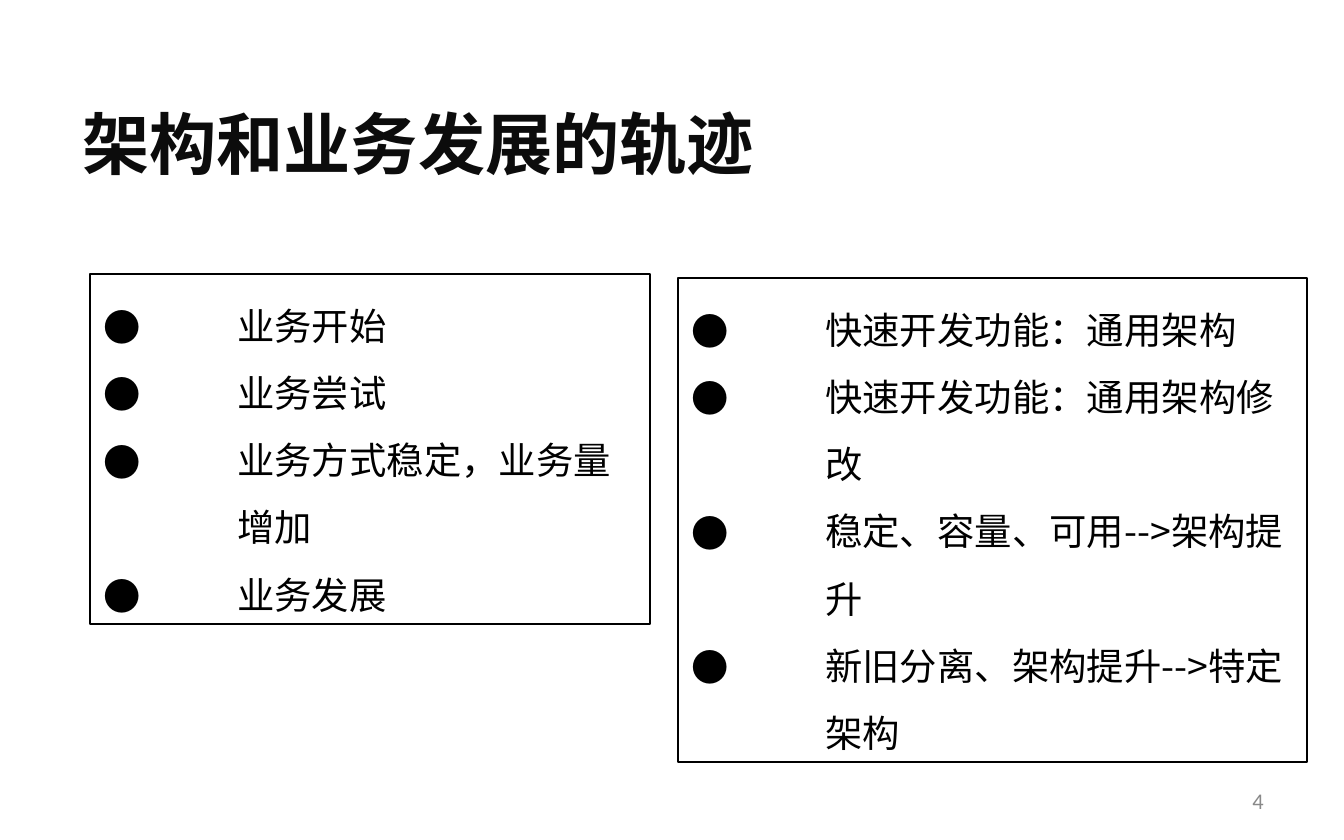
from lxml.etree import SubElement
from pptx import Presentation
from pptx.dml.color import RGBColor
from pptx.enum.shapes import MSO_SHAPE
from pptx.enum.text import MSO_ANCHOR, MSO_AUTO_SIZE, PP_ALIGN
from pptx.oxml.ns import qn
from pptx.util import Emu, Pt

PIXELS_PER_INCH = 134.4
COLORS = {"title": "0C0C0C", "text": "000000", "line": "000000", "number": "898989"}
CHINESE_FONT = "Noto Sans CJK SC"
NUMBER_FONT = "Calibri"
HANGING_INDENT = 134

BUSINESS_STAGES = ["业务开始", "业务尝试", "业务方式稳定，业务量增加", "业务发展"]
ARCHITECTURE_STAGES = [
    "快速开发功能：通用架构",
    "快速开发功能：通用架构修改",
    "稳定、容量、可用-->架构提升",
    "新旧分离、架构提升-->特定架构",
]


def px(length):
    return Emu(round(length * 914400 / PIXELS_PER_INCH))


def format_runs(paragraph, font_name, size, color, bold=False):
    for run in paragraph.runs:
        run.font.name = font_name
        run.font.size = Pt(size)
        run.font.bold = bold
        run.font.color.rgb = RGBColor.from_string(COLORS[color])
        SubElement(run.font._element, qn("a:ea"), typeface=font_name)


def add_bullet(paragraph):
    properties = paragraph._p.get_or_add_pPr()
    properties.set("marL", str(px(HANGING_INDENT)))
    properties.set("indent", str(-px(HANGING_INDENT)))
    bullet_color = SubElement(properties, qn("a:buClr"))
    SubElement(bullet_color, qn("a:srgbClr"), val=COLORS["text"])
    SubElement(properties, qn("a:buFont"), typeface=CHINESE_FONT)
    SubElement(properties, qn("a:buChar"), char="●")


def add_label(slide, box, text, font_name, size, color, bold=False, align=PP_ALIGN.LEFT):
    shape = slide.shapes.add_textbox(*map(px, box))
    text_frame = shape.text_frame
    text_frame.word_wrap = True
    text_frame.vertical_anchor = MSO_ANCHOR.MIDDLE
    text_frame.text = text
    paragraph = text_frame.paragraphs[0]
    paragraph.alignment = align
    format_runs(paragraph, font_name, size, color, bold)


def add_bullet_panel(slide, box, items):
    shape = slide.shapes.add_shape(MSO_SHAPE.RECTANGLE, *map(px, box))
    shape.shadow.inherit = False
    shape.fill.background()
    shape.line.color.rgb = RGBColor.from_string(COLORS["line"])
    shape.line.width = Pt(0.75)
    text_frame = shape.text_frame
    text_frame.word_wrap = True
    text_frame.auto_size = MSO_AUTO_SIZE.SHAPE_TO_FIT_TEXT
    text_frame.vertical_anchor = MSO_ANCHOR.TOP
    text_frame.text = "\n".join(items)
    for paragraph in text_frame.paragraphs:
        add_bullet(paragraph)
        paragraph.alignment = PP_ALIGN.LEFT
        paragraph.line_spacing = 1.5
        format_runs(paragraph, CHINESE_FONT, 20, "text")


def main():
    presentation = Presentation()
    presentation.slide_width = px(1344)
    presentation.slide_height = px(840)
    slide = presentation.slides.add_slide(presentation.slide_layouts[6])
    add_label(slide, (69, 102, 1210, 82), "架构和业务发展的轨迹", CHINESE_FONT, 36, "title", bold=True)
    add_bullet_panel(slide, (90, 274, 560, 350), BUSINESS_STAGES)
    add_bullet_panel(slide, (678, 278, 629, 484), ARCHITECTURE_STAGES)
    add_label(slide, (964, 778, 313, 45), "4", NUMBER_FONT, 12, "number", align=PP_ALIGN.RIGHT)
    presentation.save("out.pptx")


if __name__ == "__main__":
    main()
